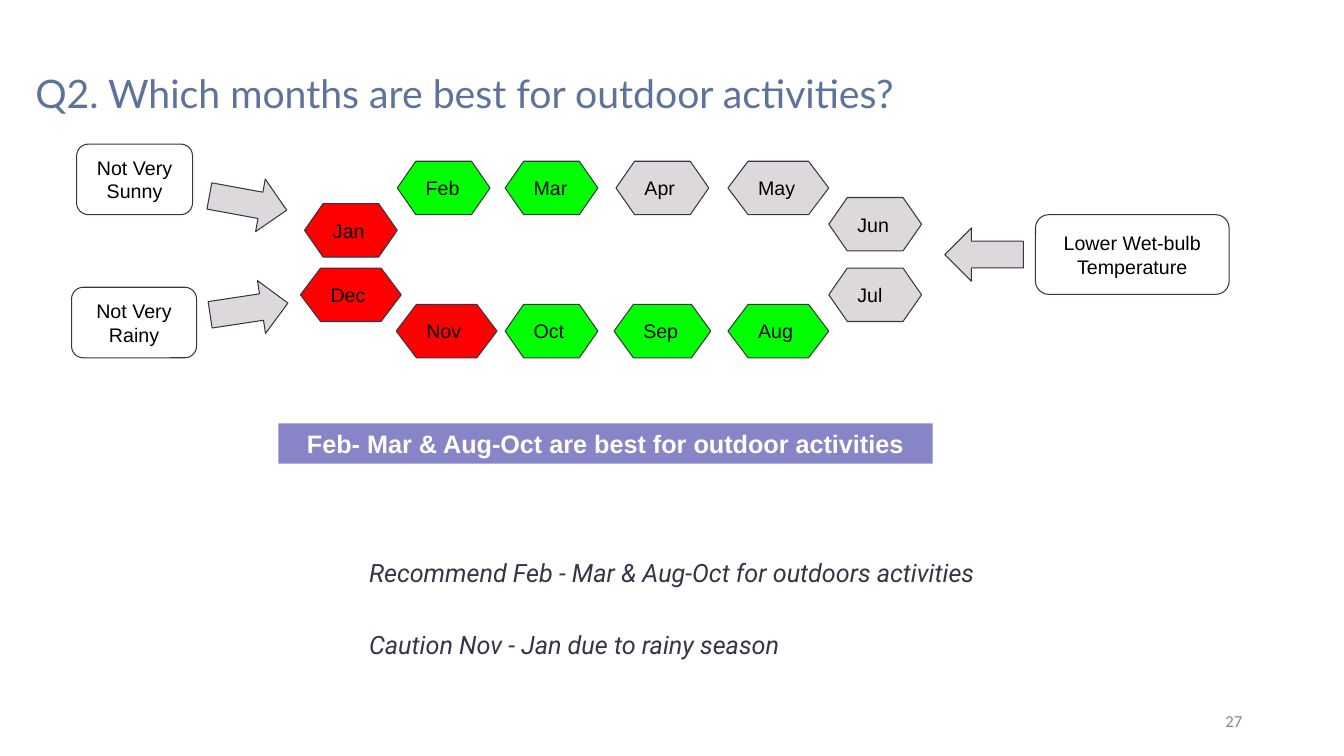
from pptx import Presentation
from pptx.dml.color import RGBColor
from pptx.enum.shapes import MSO_SHAPE
from pptx.enum.text import MSO_ANCHOR, MSO_AUTO_SIZE, PP_ALIGN
from pptx.util import Inches, Pt

BLACK = RGBColor(0x00, 0x00, 0x00)
WHITE = RGBColor(0xFF, 0xFF, 0xFF)
TITLE_BLUE = RGBColor(0x5D, 0x73, 0x9A)
INK = RGBColor(0x37, 0x35, 0x45)
NUMBER_GRAY = RGBColor(0x88, 0x88, 0x88)
BEST_GREEN = RGBColor(0x00, 0xFF, 0x00)
RAINY_RED = RGBColor(0xFF, 0x00, 0x00)
NEUTRAL_GRAY = RGBColor(0xDC, 0xD8, 0xDC)
BANNER_PURPLE = RGBColor(0x87, 0x84, 0xC7)

UPPER_ROW, LOWER_ROW = 1.6, 3.02
MONTH_HEIGHT = 0.53

# month, left, top, width, fill
MONTHS = [
    ("Jan", 3.02, 2.02, 0.92, RAINY_RED),
    ("Feb", 3.94, UPPER_ROW, 0.92, BEST_GREEN),
    ("Mar", 5.01, UPPER_ROW, 0.92, BEST_GREEN),
    ("Apr", 6.11, UPPER_ROW, 0.92, NEUTRAL_GRAY),
    ("May", 7.22, UPPER_ROW, 1, NEUTRAL_GRAY),
    ("Jun", 8.22, 1.96, 0.92, NEUTRAL_GRAY),
    ("Jul", 8.22, 2.66, 0.92, NEUTRAL_GRAY),
    ("Aug", 7.22, LOWER_ROW, 1, BEST_GREEN),
    ("Sep", 6.09, LOWER_ROW, 0.96, BEST_GREEN),
    ("Oct", 5.01, LOWER_ROW, 0.92, BEST_GREEN),
    ("Nov", 3.93, LOWER_ROW, 1, RAINY_RED),
    ("Dec", 2.98, 2.66, 1, RAINY_RED),
]

REASONS = [
    ("Not Very Sunny", 0.76, 1.43, 1.15, 0.7),
    ("Not Very Rainy", 0.71, 2.85, 1.24, 0.7),
    ("Lower Wet-bulb Temperature", 10.27, 2.13, 1.92, 0.79),
]

# left, top, rotation in degrees
ARROWS = [(2.07, 1.75, 10.4), (2.08, 2.8, 351.4), (9.37, 2.26, 180)]

ADVICE = [
    ("Recommend Feb - Mar & Aug-Oct for outdoors activities", 5.51),
    ("Caution Nov - Jan due to rainy season", 6.23),
]


def write(shape, text, *, size=14, font="Arial", color=BLACK, bold=False,
          italic=False, align=PP_ALIGN.LEFT, anchor=MSO_ANCHOR.MIDDLE,
          left_inset=0.1, inset_y=0.05, line_spacing=1.0,
          auto_size=MSO_AUTO_SIZE.NONE):
    frame = shape.text_frame
    frame.word_wrap = True
    frame.auto_size = auto_size
    frame.vertical_anchor = anchor
    frame.margin_left, frame.margin_right = Inches(left_inset), Inches(0.1)
    frame.margin_top = frame.margin_bottom = Inches(inset_y)
    paragraph = frame.paragraphs[0]
    paragraph.alignment = align
    paragraph.line_spacing = line_spacing
    run = paragraph.add_run()
    run.text = text
    run.font.size = Pt(size)
    run.font.name = font
    run.font.color.rgb = color
    run.font.bold = bold
    run.font.italic = italic


def add_figure(slide, preset, left, top, width, height, fill=None, line=INK):
    """Add a preset shape; None leaves out the fill or the line."""
    figure = slide.shapes.add_shape(
        preset, Inches(left), Inches(top), Inches(width), Inches(height))
    figure.shadow.inherit = False
    if fill is None:
        figure.fill.background()
    else:
        figure.fill.solid()
        figure.fill.fore_color.rgb = fill
    if line is None:
        figure.line.fill.background()
    else:
        figure.line.color.rgb = line
        figure.line.width = Pt(0.75)
    return figure


def add_label(slide, text, left, top, width, height, **text_format):
    label = slide.shapes.add_textbox(
        Inches(left), Inches(top), Inches(width), Inches(height))
    write(label, text, **text_format)


def set_title(slide, text):
    title = slide.shapes.title
    title.left, title.top = Inches(0.25), Inches(0.23)
    title.width, title.height = Inches(11.5), Inches(1.45)
    write(title, text, size=28, font="Lato", color=TITLE_BLUE, line_spacing=0.9)


def add_month_ring(slide):
    for month, left, top, width, fill in MONTHS:
        hexagon = add_figure(slide, MSO_SHAPE.FLOWCHART_PREPARATION,
                             left, top, width, MONTH_HEIGHT, fill)
        write(hexagon, month, inset_y=0.1)


def add_reasons(slide):
    for reason, *place in REASONS:
        box = add_figure(slide, MSO_SHAPE.ROUNDED_RECTANGLE, *place)
        write(box, reason, align=PP_ALIGN.CENTER, inset_y=0.1)
    for left, top, rotation in ARROWS:
        arrow = add_figure(slide, MSO_SHAPE.RIGHT_ARROW,
                           left, top, 0.78, 0.53, NEUTRAL_GRAY)
        arrow.rotation = rotation


def add_banner(slide, text):
    banner = add_figure(slide, MSO_SHAPE.RECTANGLE, 2.76, 4.2, 6.49, 0.4,
                        BANNER_PURPLE, line=None)
    write(banner, text, size=18, color=WHITE, bold=True, align=PP_ALIGN.CENTER,
          anchor=MSO_ANCHOR.TOP, auto_size=MSO_AUTO_SIZE.SHAPE_TO_FIT_TEXT)


def main():
    deck = Presentation()
    deck.slide_width, deck.slide_height = Inches(13.33), Inches(7.5)
    slide = deck.slides.add_slide(deck.slide_layouts[5])
    set_title(slide, "Q2. Which months are best for outdoor activities?")
    add_month_ring(slide)
    add_banner(slide, "Feb- Mar & Aug-Oct are best for outdoor activities")
    add_reasons(slide)
    for advice, top in ADVICE:
        add_label(slide, advice, 3.31, top, 6.71, 0.4, size=18, font="Roboto",
                  color=INK, italic=True, anchor=MSO_ANCHOR.TOP,
                  left_inset=0.35, line_spacing=0.9)
    add_label(slide, "27", 9.42, 6.95, 3, 0.4, size=12, font="Calibri",
              color=NUMBER_GRAY, align=PP_ALIGN.RIGHT)
    deck.save("out.pptx")


if __name__ == "__main__":
    main()
